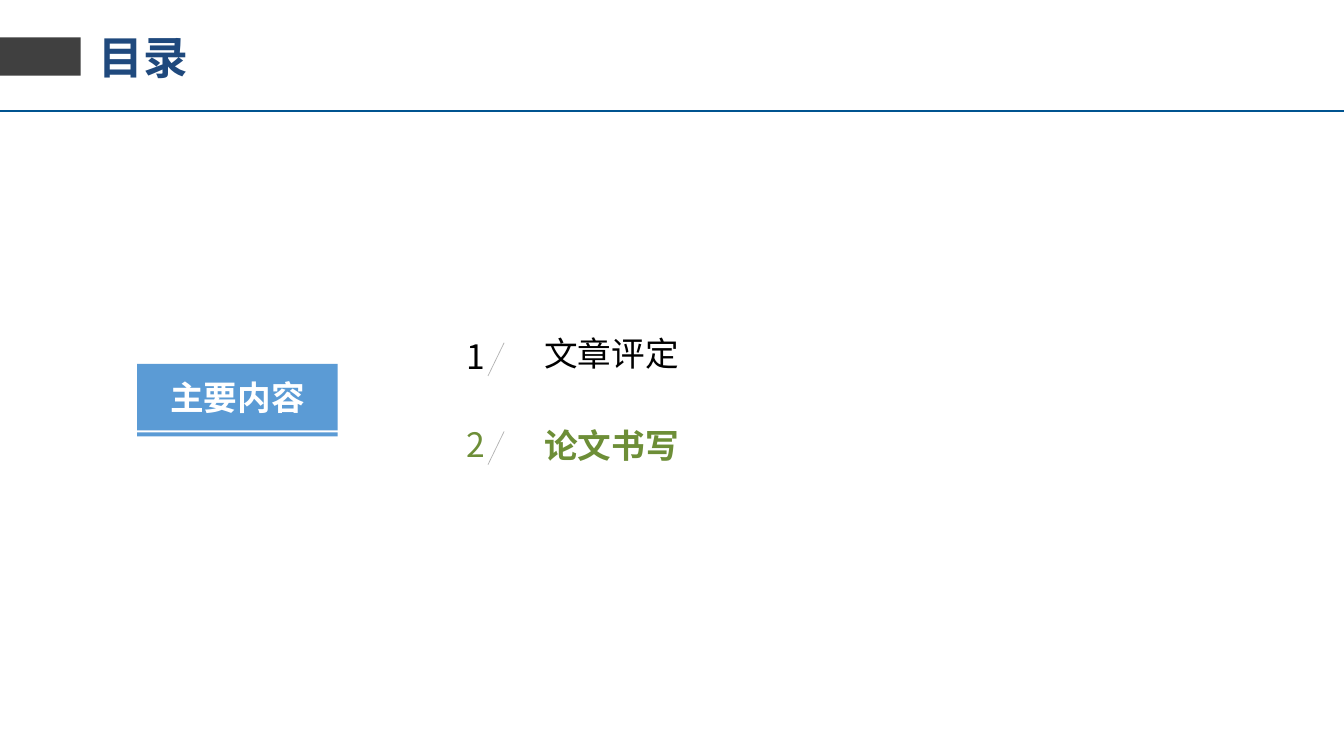
from lxml import etree
from pptx import Presentation
from pptx.dml.color import RGBColor
from pptx.enum.shapes import MSO_CONNECTOR, MSO_SHAPE
from pptx.enum.text import MSO_ANCHOR, MSO_AUTO_SIZE, PP_ALIGN
from pptx.oxml.ns import qn
from pptx.util import Inches, Pt

STRAIGHT = MSO_CONNECTOR.STRAIGHT
RECTANGLE = MSO_SHAPE.RECTANGLE
MIDDLE = MSO_ANCHOR.MIDDLE
LEFT, CENTER = PP_ALIGN.LEFT, PP_ALIGN.CENTER
NO_FIT, GROW = MSO_AUTO_SIZE.NONE, MSO_AUTO_SIZE.SHAPE_TO_FIT_TEXT
CJK_FONT = "Noto Sans CJK SC"
BLUE, GREEN, BLACK = "5B9BD5", "6D8E37", "000000"

prs = Presentation()
prs.slide_width, prs.slide_height = Inches(13.33), Inches(7.5)
slide = prs.slides.add_slide(prs.slide_layouts[5])
shapes = slide.shapes


def write(frame, text, size, color, bold=False, align=CENTER, font=CJK_FONT, margin=0):
    frame.text = text
    frame.vertical_anchor = MIDDLE
    frame.margin_left = frame.margin_right = Inches(margin)
    frame.margin_top = frame.margin_bottom = Inches(margin / 2)
    paragraph = frame.paragraphs[0]
    paragraph.alignment = align
    run = paragraph.runs[0]
    run.font.name, run.font.size, run.font.bold = font, Pt(size), bold
    run.font.color.rgb = RGBColor.from_string(color)
    east_asian = etree.SubElement(run.font._element, qn("a:ea"))
    east_asian.set("typeface", CJK_FONT)


def add_line(x1, y1, x2, y2, color, width):
    line = shapes.add_connector(STRAIGHT, Inches(x1), Inches(y1), Inches(x2), Inches(y2))
    line.line.color.rgb = RGBColor.from_string(color)
    line.line.width = Pt(width)
    etree.SubElement(line._element.spPr, qn("a:effectLst"))


# Heading
heading = shapes.title
heading.left, heading.top = Inches(0.88), Inches(0.32)
heading.width, heading.height = Inches(2.07), Inches(0.48)
write(heading.text_frame, "目录", 32, "1F497D", True, LEFT, "Lato", 0.1)
heading.text_frame.auto_size = NO_FIT
add_line(0, 1.1, 13.33, 1.1, "005490", 1.5)

# Heading marker, section box and the bar under it
bars = []
for left, top, width, height, color in [
    (0, 0.37, 0.8, 0.38, "404040"),
    (1.36, 3.61, 1.99, 0.66, BLUE),
    (1.36, 4.29, 1.99, 0.04, BLUE),
]:
    bar = shapes.add_shape(RECTANGLE, Inches(left), Inches(top), Inches(width), Inches(height))
    bar.shadow.inherit = False
    bar.fill.solid()
    bar.fill.fore_color.rgb = RGBColor.from_string(color)
    bar.line.fill.background()
    bars.append(bar)
marker, section_box, underline = bars
write(section_box.text_frame, "主要内容", 24, "FFFFFF", True)

# Numbered contents
contents = [("文章评定", 3.25, BLACK, False), ("论文书写", 4.17, GREEN, True)]
for index, (topic, topic_top, color, current) in enumerate(contents):
    top = 3.26 + 0.88 * index
    number = shapes.add_textbox(Inches(4.57), Inches(top), Inches(0.3), Inches(0.54))
    write(number.text_frame, str(index + 1), 24, color)
    number.text_frame.word_wrap = True
    add_line(5, top + 0.14, 4.84, top + 0.47, "B2B2B2", 0.5)

    label = shapes.add_textbox(Inches(5.3), Inches(topic_top), Inches(1.55), Inches(0.5))
    write(label.text_frame, topic, 24, color, current, LEFT, margin=0.1)
    label.text_frame.word_wrap = False
    label.text_frame.auto_size = GROW

prs.save("out.pptx")
